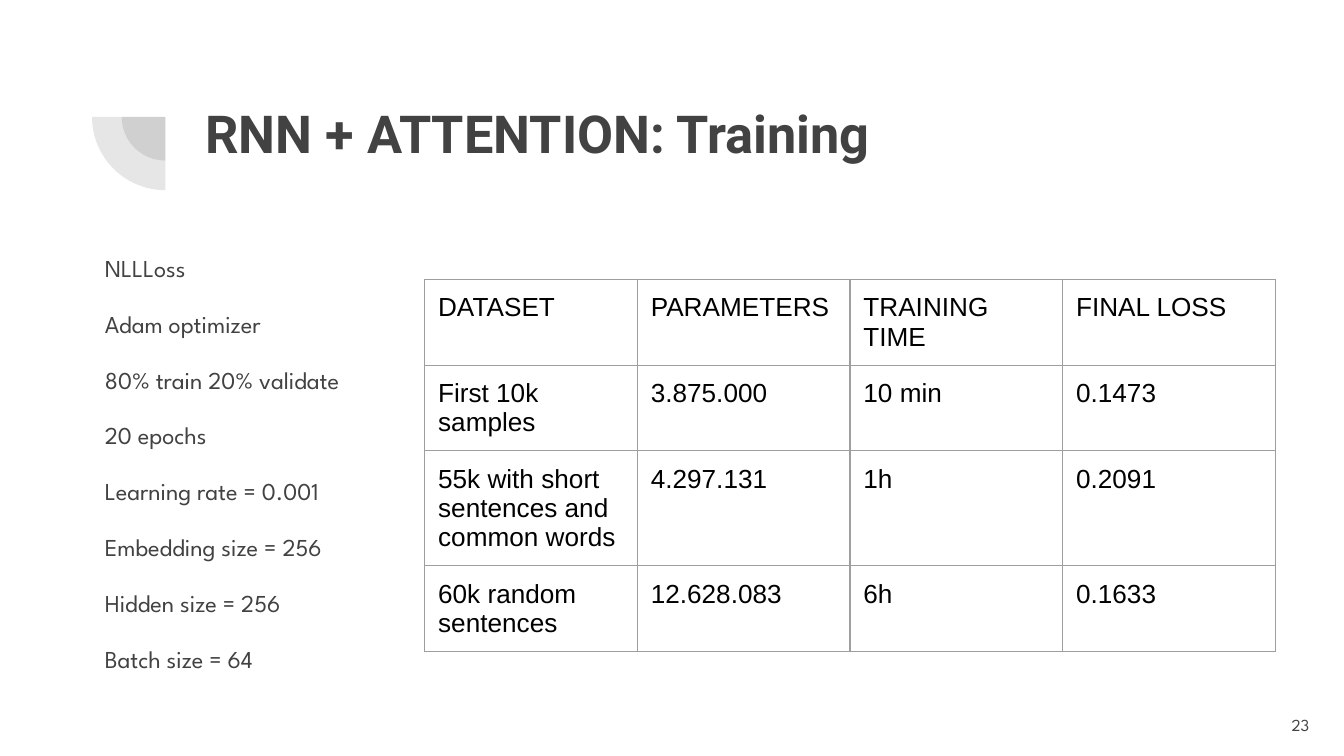
from lxml import etree
from pptx import Presentation
from pptx.dml.color import RGBColor
from pptx.enum.shapes import MSO_SHAPE
from pptx.enum.text import MSO_ANCHOR, MSO_AUTO_SIZE, PP_ALIGN
from pptx.oxml.ns import qn
from pptx.util import Inches, Pt

PIE = MSO_SHAPE.PIE
TOP, MIDDLE = MSO_ANCHOR.TOP, MSO_ANCHOR.MIDDLE
LEFT, RIGHT = PP_ALIGN.LEFT, PP_ALIGN.RIGHT
TITLE_AND_CONTENT = 1
SLIDE_WIDTH = 10
SLIDE_HEIGHT = SLIDE_WIDTH * 9 / 16

SETTINGS = [
    "NLLLoss",
    "Adam optimizer",
    "80% train 20% validate",
    "20 epochs",
    "Learning rate = 0.001",
    "Embedding size = 256",
    "Hidden size = 256",
    "Batch size = 64",
]
RESULTS = [
    ["DATASET", "PARAMETERS", "TRAINING TIME", "FINAL LOSS"],
    ["First 10k samples", "3.875.000", "10 min", "0.1473"],
    ["55k with short sentences and common words", "4.297.131", "1h", "0.2091"],
    ["60k random sentences", "12.628.083", "6h", "0.1633"],
]


def color(hex_string):
    return RGBColor.from_string(hex_string)


class SlideBuilder:
    ink = "424242"
    table_ink = "000000"
    grid = "9E9E9E"
    paper = "FFFFFF"
    title_font = "Roboto"
    body_font = "League Spartan"
    table_font = "Arial"
    inset = Inches(0.1)

    def __init__(self, slide):
        self.slide = slide
        slide.background.fill.solid()
        slide.background.fill.fore_color.rgb = color(self.paper)

    def place(self, shape, left, top, width, height):
        shape.left, shape.top = Inches(left), Inches(top)
        shape.width, shape.height = Inches(width), Inches(height)

    def set_margins(self, holder):
        holder.margin_left = holder.margin_right = self.inset
        holder.margin_top = holder.margin_bottom = self.inset

    def set_frame(self, frame, anchor=TOP):
        frame.word_wrap = True
        frame.auto_size = MSO_AUTO_SIZE.NONE
        frame.vertical_anchor = anchor
        self.set_margins(frame)

    def set_font(self, paragraph, name, size, hex_string, bold=False):
        font = paragraph.font
        font.name, font.size, font.bold = name, Pt(size), bold
        font.color.rgb = color(hex_string)

    def quarter_disc(self, center_x, center_y, diameter):
        """Draw the lower left quarter of a disc, see-through."""
        disc = self.slide.shapes.add_shape(
            PIE, Inches(center_x - diameter / 2), Inches(center_y - diameter / 2),
            Inches(diameter), Inches(diameter))
        disc.rotation = 270
        disc.adjustments[0], disc.adjustments[1] = 108, 162
        disc.shadow.inherit = False
        disc.line.fill.background()
        disc.fill.solid()
        disc.fill.fore_color.rgb = color(self.ink)
        srgb = disc.fill._xPr.find(qn("a:solidFill")).find(qn("a:srgbClr"))
        etree.SubElement(srgb, qn("a:alpha"), val="13000")

    def title(self, text, *box):
        heading = self.slide.shapes.title
        self.place(heading, *box)
        self.set_frame(heading.text_frame)
        heading.text_frame.text = text
        paragraph = heading.text_frame.paragraphs[0]
        paragraph.alignment = LEFT
        self.set_font(paragraph, self.title_font, 28, self.ink, bold=True)

    def body(self, lines, *box):
        body = self.slide.placeholders[1]
        self.place(body, *box)
        self.set_frame(body.text_frame)
        body.text_frame.text = "\n".join(lines)
        paragraphs = body.text_frame.paragraphs
        for index, paragraph in enumerate(paragraphs):
            paragraph.line_spacing = 1.15
            paragraph.space_before = Pt(12 if index else 0)
            self.set_font(paragraph, self.body_font, 13, self.ink)
            properties = paragraph._p.get_or_add_pPr()
            properties.set("marL", "0")
            properties.set("indent", "0")
            bullet = etree.Element(qn("a:buNone"))
            properties.find(qn("a:defRPr")).addprevious(bullet)
        paragraphs[-1].space_after = Pt(12)

    def cell_borders(self, cell):
        properties = cell._tc.get_or_add_tcPr()
        for position, side in enumerate(("a:lnL", "a:lnR", "a:lnT", "a:lnB")):
            border = etree.Element(qn(side), w=str(Pt(0.75)))
            fill = etree.SubElement(border, qn("a:solidFill"))
            etree.SubElement(fill, qn("a:srgbClr"), val=self.grid)
            properties.insert(position, border)

    def table(self, rows, left, top, width, row_height):
        table = self.slide.shapes.add_table(
            len(rows), len(rows[0]), Inches(left), Inches(top),
            Inches(width), Inches(row_height * len(rows))).table
        table.first_row = table.horz_banding = False
        for row, values in zip(table.rows, rows):
            for cell, value in zip(row.cells, values):
                cell.text = value
                self.set_margins(cell)
                cell.fill.background()
                self.cell_borders(cell)
                self.set_font(cell.text_frame.paragraphs[0],
                              self.table_font, 14, self.table_ink)

    def page_number(self, text, *box):
        number = self.slide.shapes.add_textbox(*map(Inches, box))
        self.set_frame(number.text_frame, MIDDLE)
        number.text_frame.text = text
        paragraph = number.text_frame.paragraphs[0]
        paragraph.alignment = RIGHT
        self.set_font(paragraph, self.body_font, 9, self.ink)


def main():
    deck = Presentation()
    deck.slide_width, deck.slide_height = Inches(SLIDE_WIDTH), Inches(SLIDE_HEIGHT)
    layout = deck.slide_layouts[TITLE_AND_CONTENT]
    builder = SlideBuilder(deck.slides.add_slide(layout))
    for diameter in (0.65, 1.09):
        builder.quarter_disc(1.23, 0.87, diameter)
    builder.title("RNN + ATTENTION: Training", 1.43, 0.65, 7.69, 1.09)
    builder.body(SETTINGS, 0.68, 1.75, 2.49, 3.56)
    builder.table(RESULTS, 3.16, 2.08, width=6.33, row_height=0.42)
    builder.page_number("23", 9.24, 5.18, 0.6, 0.43)
    deck.save("out.pptx")


if __name__ == "__main__":
    main()
